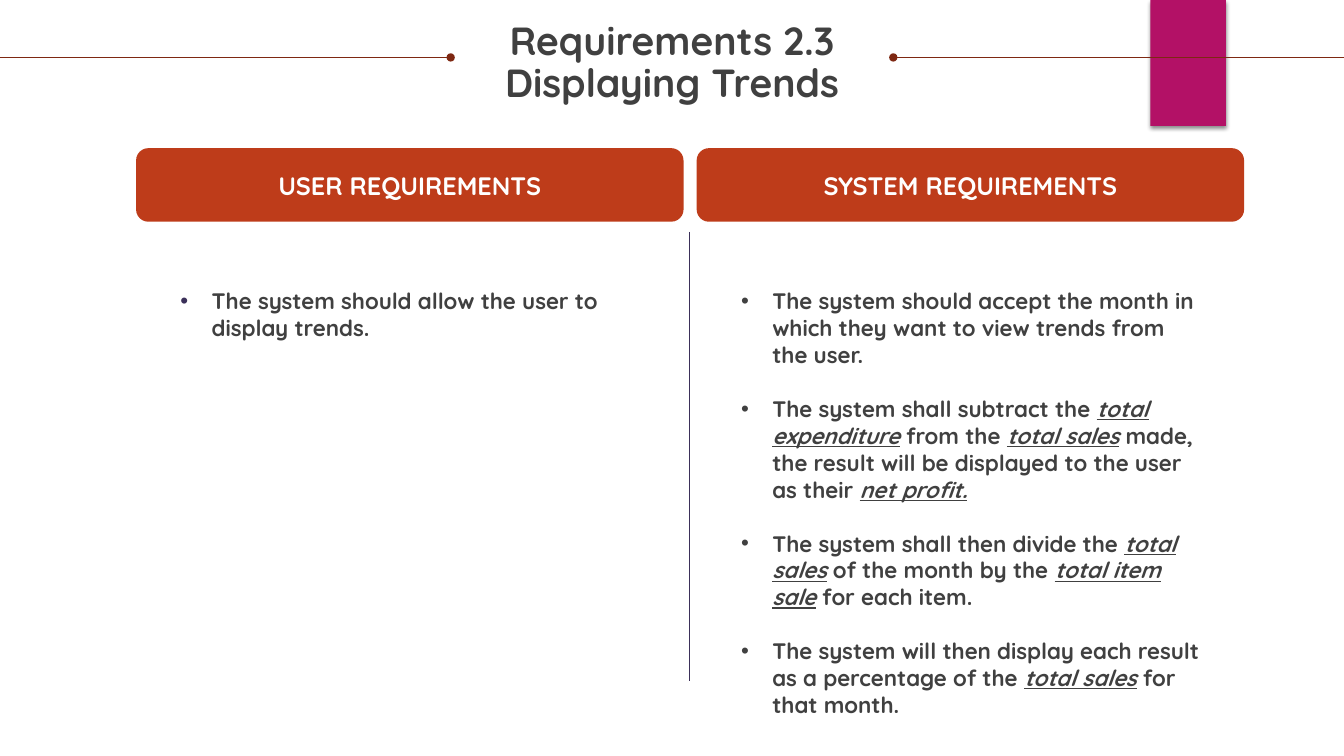
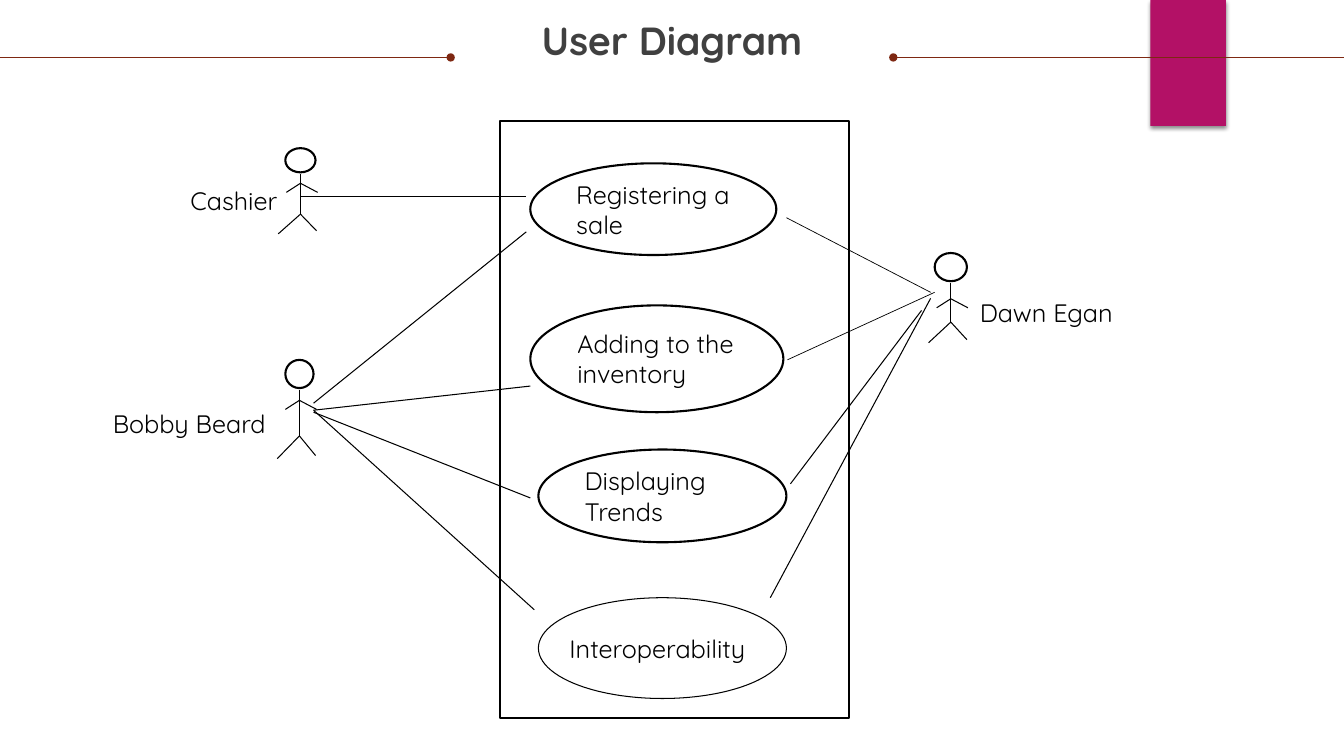
import pptx
import pptx.util
import pptx.dml.color
import pptx.enum.shapes
import pptx.enum.text
import pptx.oxml
import pptx.oxml.ns
import lxml.etree

Inches = pptx.util.Inches
Pt = pptx.util.Pt
kinds = pptx.enum.shapes.MSO_SHAPE
mid = pptx.enum.text.MSO_ANCHOR.MIDDLE
top = pptx.enum.text.MSO_ANCHOR.TOP
left = pptx.enum.text.PP_ALIGN.LEFT
center = pptx.enum.text.PP_ALIGN.CENTER
qn = pptx.oxml.ns.qn

hues = {"bar": "B31166", "rule": "7E2812", "head": "BE3C1A", "text": "404040",
        "split": "3B3059", "ink": "000000", "paper": "FFFFFF"}
color = {name: pptx.dml.color.RGBColor.from_string(hue) for name, hue in hues.items()}
looks = {
    "title": {"size": Pt(28), "bold": True},
    "head": {"size": Pt(18), "bold": True},
    "list": {"size": Pt(16), "bold": True},
    "label": {"size": Pt(18), "bold": False},
}


def draw(slide, kind, box, fill=None, edge=None, width=1.5, texts=(), look="label",
         hue="ink", anchor=mid, wrap=True, inset=None, para=None):
    spot = [Inches(n) for n in box]
    if kind is None:
        shape = slide.shapes.add_textbox(*spot)
    else:
        shape = slide.shapes.add_shape(kind, *spot)
        shape.shadow.inherit = False
        if fill:
            shape.fill.solid()
            shape.fill.fore_color.rgb = color[fill]
        else:
            shape.fill.background()
        if edge:
            shape.line.color.rgb = color[edge]
            shape.line.width = Pt(width)
        else:
            shape.line.fill.background()
    frame = shape.text_frame
    frame.word_wrap = wrap
    frame.vertical_anchor = anchor
    if inset is not None:
        for side in ("left", "right", "top", "bottom"):
            setattr(frame, "margin_" + side, Inches(inset))
    for i, text in enumerate(texts):
        p = frame.add_paragraph() if i else frame.paragraphs[0]
        for key, value in {"alignment": left, **(para or {})}.items():
            setattr(p, key, value)
        for j, part in enumerate(text.split("_")):
            if part:
                run = p.add_run()
                run.text = part
                marked = {"italic": True, "underline": True} if j % 2 else {}
                for key, value in {"name": "Quicksand", **looks[look], **marked}.items():
                    setattr(run.font, key, value)
                run.font.color.rgb = color[hue]
    return shape


def link(slide, x1, y1, x2, y2, hue="ink", width=0.75, end=None):
    line = slide.shapes.add_connector(pptx.enum.shapes.MSO_CONNECTOR.STRAIGHT,
                                      *[Inches(n) for n in (x1, y1, x2, y2)])
    line.line.color.rgb = color[hue]
    line.line.width = Pt(width)
    props = line._element.spPr
    lxml.etree.SubElement(props, qn("a:effectLst"))
    if end:
        lxml.etree.SubElement(props.find(qn("a:ln")), qn("a:" + end), type="oval")


deck = pptx.Presentation()
deck.slide_width = Inches(13.33)
deck.slide_height = Inches(7.5)
pages = []
for title in (["Requirements 2.3", "Displaying Trends"], ["User Diagram"]):
    page = deck.slides.add_slide(deck.slide_layouts[6])
    bar = draw(page, kinds.RECTANGLE, (11.41, 0, 0.75, 1.25), "bar")
    glow = bar._element.spPr.find(qn("a:effectLst"))
    cast = lxml.etree.SubElement(glow, qn("a:outerShdw"), blurRad=str(Pt(3)),
                                 dist=str(Pt(2)), dir="5400000", algn="ctr", rotWithShape="0")
    tint = lxml.etree.SubElement(cast, qn("a:srgbClr"), val=hues["ink"])
    lxml.etree.SubElement(tint, qn("a:alpha"), val="45000")
    link(page, 8.86, 0.57, 13.33, 0.57, "rule", end="headEnd")
    draw(page, None, (0.25, 0.21, 12.83, 1.15), texts=title, look="title", hue="text",
         anchor=top, inset=0, para={"alignment": center, "line_spacing": 0.9})
    link(page, 0, 0.57, 4.47, 0.57, "rule", end="tailEnd")
    pages.append(page)
needs, chart = pages

columns = [
    (1.35, 4.71, "USER REQUIREMENTS", "split",
     ["The system should allow the user to display trends."]),
    (6.91, 4.55, "SYSTEM REQUIREMENTS", "text",
     ["The system should accept the month in which they want to view trends from the user.",
      "The system shall subtract the _total expenditure_ from the _total sales_ made, "
      "the result will be displayed to the user as their _net profit._",
      "The system shall then divide the _total sales_ of the month by the "
      "_total item sale_ for each item.",
      "The system will then display each result as a percentage of the _total sales_ "
      "for that month."]),
]
for x, wide, head, dot, items in columns:
    draw(needs, kinds.ROUNDED_RECTANGLE, (x, 1.47, 5.43, 0.73), "head", texts=[head],
         look="head", hue="paper", para={"alignment": center})
    body = draw(needs, None, (x + 0.44, 2.85, wide, 4.31), texts=items, look="list",
                hue="text", anchor=top, inset=0)
    for i, p in enumerate(body.text_frame.paragraphs):
        p.space_before = Pt(19.4 if i else 0)
        props = p._p.get_or_add_pPr()
        props.set("marL", str(Inches(0.31)))
        props.set("indent", str(-Inches(0.31)))
        tint = lxml.etree.SubElement(props, qn("a:buClr"))
        lxml.etree.SubElement(tint, qn("a:srgbClr"), val=hues[dot])
        lxml.etree.SubElement(props, qn("a:buFont"), typeface="Arial")
        lxml.etree.SubElement(props, qn("a:buChar"), char="•")
link(needs, 6.84, 2.3, 6.84, 6.76, "split")

draw(chart, kinds.RECTANGLE, (4.96, 1.2, 3.46, 5.92), "paper", "ink")
cases = [
    (5.26, 1.62, 2.44, 0.91, "Registering a sale"),
    (5.26, 3.03, 2.51, 1.06, "Adding to the inventory"),
    (5.34, 4.46, 2.46, 0.92, "Displaying Trends"),
]
for *box, name in cases:
    draw(chart, kinds.OVAL, box, "paper", "ink", texts=[name])
draw(chart, kinds.OVAL, (5.34, 5.93, 2.46, 1), edge="ink", width=0.75)

actors = [
    (2.98, 1.47, 0.85, 0.3, 0.24, 0.41),
    (2.97, 3.57, 0.98, 0.28, 0.28, 0.41),
    (9.43, 2.51, 0.89, 0.32, 0.28, 0.51),
]
for x, y, tall, wide, high, arm in actors:
    draw(chart, kinds.OVAL, (x - wide / 2, y, wide, high), "paper", "ink")
    hip = y + 0.77 * tall
    arm = y + arm * tall
    link(chart, x, y + high + 0.02, x, hip)
    for dx, foot, hand in ((-1, 0.22, 0.14), (1, 0.16, 0.17)):
        link(chart, x, hip, x + dx * foot, y + tall - (0.03 if dx > 0 else 0))
        link(chart, x, arm, x + dx * hand, arm + 0.09)

labels = [
    (1.79, 1.79, 1.12, "Cashier"),
    (1.02, 4, 1.79, "Bobby Beard"),
    (9.62, 2.9, 1.63, "Dawn Egan"),
    (5.55, 6.23, 2.03, "Interoperability"),
]
for x, y, wide, name in labels:
    draw(chart, None, (x, y, wide, 0.4), texts=[name], wrap=False)

uses = [
    (2.98, 1.95, 5.22, 1.95, 0.5),
    (3.11, 4, 5.22, 2.3, 0.75),
    (3.11, 4.07, 5.26, 3.83, 0.75),
    (3.11, 4.09, 5.26, 4.94, 0.75),
    (3.11, 4.07, 5.3, 6.05, 0.75),
    (7.8, 2.16, 9.23, 2.9, 0.5),
    (7.81, 3.57, 9.27, 2.9, 0.5),
    (7.84, 4.8, 9.14, 3.08, 0.75),
    (7.64, 5.93, 9.23, 2.96, 0.75),
]
for *ends, width in uses:
    link(chart, *ends, width=width)

deck.save("out.pptx")
